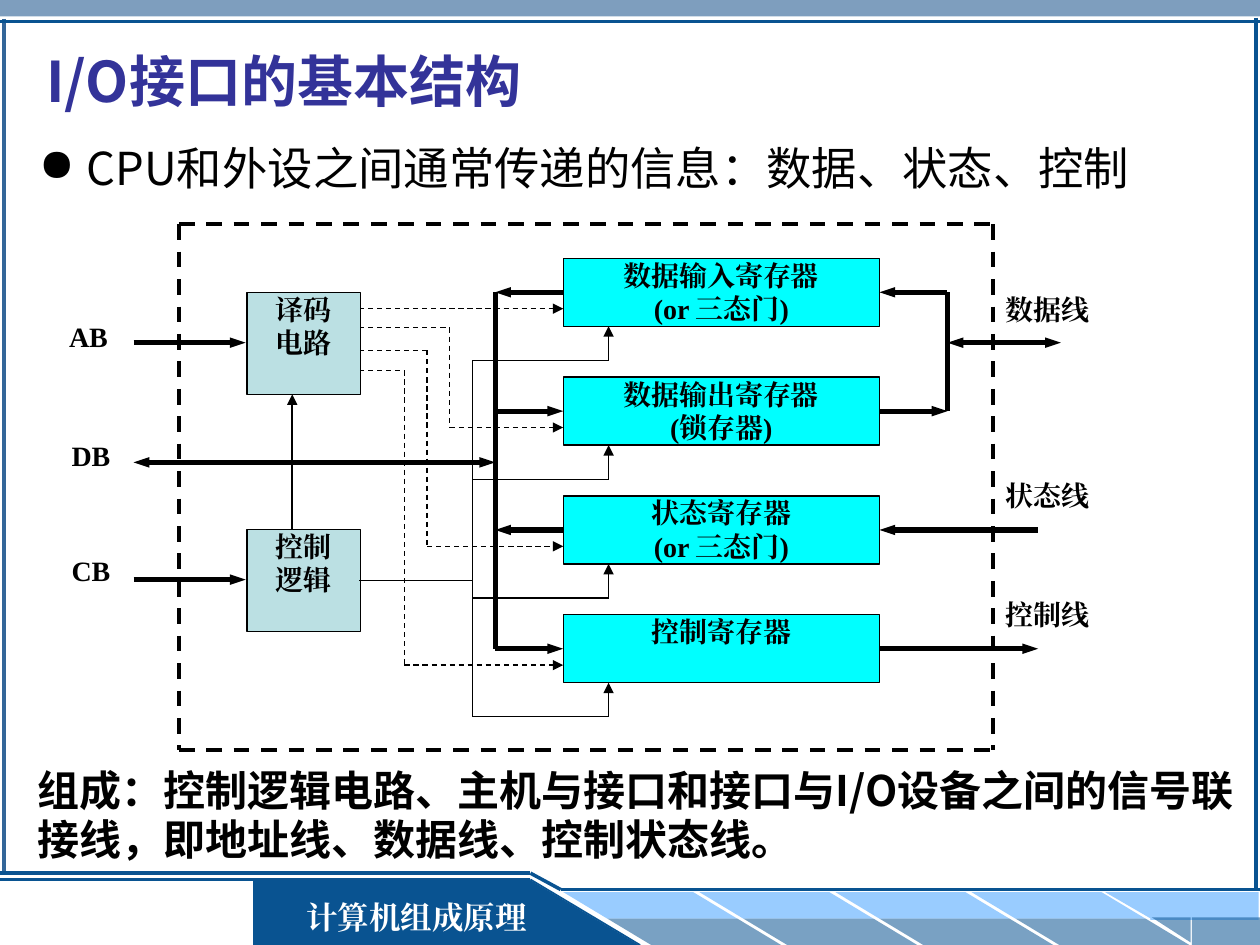
"""Build a slide on the basic structure of an I/O interface."""
import pptx
import pptx.dml.color
import pptx.enum.dml
import pptx.enum.shapes
import pptx.enum.text
import pptx.oxml.ns
import pptx.util
from lxml import etree
from pptx.util import Inches

rgb = pptx.dml.color.RGBColor.from_string
qn = pptx.oxml.ns.qn
SHAPE = pptx.enum.shapes.MSO_SHAPE
ALIGN = pptx.enum.text.PP_ALIGN
ANCHOR = pptx.enum.text.MSO_ANCHOR
SERIF, SANS = "Times New Roman", "Noto Sans CJK SC"
NAVY, SKY, BLACK = "095391", "99CCFF", "000000"

prs = pptx.Presentation()
prs.slide_width, prs.slide_height = Inches(10), Inches(7.5)
slide = prs.slides.add_slide(prs.slide_layouts[6])


def add_box(kind, at, fill=None, alpha=100, border=None, text="", size=16,
            font=SERIF, color=BLACK, bold=True, align=ALIGN.LEFT, inset=0):
    at = [Inches(v) for v in at]
    s = slide.shapes.add_shape(kind, *at) if kind else slide.shapes.add_textbox(*at)
    if kind:
        s.shadow.inherit = False
        s.fill.solid()
        s.fill.fore_color.rgb = rgb(fill)
        if alpha < 100:
            clr = s._element.spPr.find(".//" + qn("a:srgbClr"))
            etree.SubElement(clr, qn("a:alpha")).set("val", str(alpha * 1000))
        if border:
            s.line.color.rgb = rgb(border)
            s.line.width = pptx.util.Pt(0.75)
        else:
            s.line.fill.background()
    if text:
        tf = s.text_frame
        tf.word_wrap = True
        tf.vertical_anchor = ANCHOR.TOP
        tf.margin_left = tf.margin_right = Inches(0.1)
        tf.margin_top = tf.margin_bottom = Inches(inset)
        tf.text = text
        for p in tf.paragraphs:
            p.alignment = align
            for r in p.runs:
                r.font.size = pptx.util.Pt(size)
                r.font.name, r.font.bold = font, bold
                r.font.color.rgb = rgb(color)
                etree.SubElement(r.font._element, qn("a:ea")).set("typeface", font)
    return s


def add_path(points, width, head=False, tail=False, dash=False, color=BLACK):
    last = len(points) - 2
    for i, (start, end) in enumerate(zip(points, points[1:])):
        s = slide.shapes.add_connector(pptx.enum.shapes.MSO_CONNECTOR.STRAIGHT,
                                       *[Inches(v) for v in start + end])
        s.line.color.rgb = rgb(color)
        s.line.width = pptx.util.Pt(width)
        if dash:
            s.line.dash_style = pptx.enum.dml.MSO_LINE.DASH
        ln = s.line._get_or_add_ln()
        for tag, shown in (("a:headEnd", head and i == 0), ("a:tailEnd", tail and i == last)):
            if shown:
                arrow = etree.SubElement(ln, qn(tag))
                arrow.set("type", "triangle")
                arrow.set("w", "sm" if width == 3 else "med")
        etree.SubElement(s._element.spPr, qn("a:effectLst"))


add_box(SHAPE.RECTANGLE, (0, 0, 10, 0.13), "336699", 63)
add_path([(0.03, 0.15), (0.03, 6.93)], 2, color="336699")
add_box(SHAPE.RECTANGLE, (2.01, 6.98, 2.2, 0.52), NAVY)
add_path([(5.08, 7.5), (4.21, 6.98)], 1, color=NAVY)
add_path([(4.21, 6.98), (0, 6.98)], 1.5, color=NAVY)
for i in range(4):
    for x, y, fill, alpha in ((4.47, 7.08, SKY, 100), (4.82, 7.29, NAVY, 54)):
        s = add_box(SHAPE.PARALLELOGRAM, (x + 1.08 * i, y, 1.38, 0.21), fill, alpha)
        s.adjustments[0] = 1.66
        s._element.spPr.xfrm.set("flipH", "1")
for bar, corner, fill, alpha in (
        ((9.13, 7.08, 0.86, 0.22), (8.77, 7.08, 0.38, 0.22), SKY, 100),
        ((9.46, 7.28, 0.54, 0.22), (9.14, 7.28, 0.31, 0.2), NAVY, 54)):
    add_box(SHAPE.RECTANGLE, bar, fill, alpha)
    add_box(SHAPE.RIGHT_TRIANGLE, corner, fill, alpha).rotation = 180
add_box(SHAPE.RECTANGLE, (2.28, 7.08, 2.05, 0.4), NAVY, text="计算机组成原理",
        size=18, color="FFFFFF", align=ALIGN.CENTER, inset=0.05)
add_box(SHAPE.RIGHT_TRIANGLE, (4.2, 6.98, 0.87, 0.52), NAVY)
add_path([(0, 6.93), (4.21, 6.93), (4.45, 7.06), (10, 7.06)], 2, color=NAVY)
add_path([(0, 0.17), (10, 0.17)], 2, color=NAVY)
add_path([(9.97, 0.14), (9.97, 7.07)], 2, color=NAVY)

title = add_box(None, (0.27, 0.28, 9.47, 0.71), text="I/O接口的基本结构", size=32,
                font=SANS, color="333399", inset=0.05)
title.text_frame.vertical_anchor = ANCHOR.MIDDLE

body = add_box(None, (0.21, 1.15, 9.53, 0.63), text="CPU和外设之间通常传递的信息：数据、状态、控制",
               size=25.9, font=SANS, bold=False, inset=0.05)
p = body.text_frame.paragraphs[0]
p.line_spacing = 0.8
pPr = p._p.get_or_add_pPr()
pPr.set("marL", str(Inches(0.38)))
pPr.set("indent", str(-Inches(0.38)))
etree.SubElement(pPr, qn("a:buChar")).set("char", "●")

for x, y, w, label in ((7.88, 2.32, 1.08, "数据线"), (7.88, 3.8, 1.08, "状态线"),
                       (7.88, 4.74, 1.08, "控制线"), (0.45, 2.54, 0.71, "AB"),
                       (0.47, 3.48, 0.71, "DB"), (0.47, 4.39, 0.71, "CB")):
    add_box(None, (x, y, w, 0.4), text=label)

registers = ("数据输入寄存器\n(or 三态门)", "数据输出寄存器\n(锁存器)",
             "状态寄存器\n(or 三态门)", "控制寄存器")
bus_x, control_x = 3.93, 3.75
decoder_taps = ((2.45, 4.47), (2.6, 3.57), (2.78, 3.39), (2.94, 3.21))
for i, (label, (tap_y, turn_x)) in enumerate(zip(registers, decoder_taps)):
    top = 2.05 + 0.943 * i
    middle = top + 0.27
    to_bus = i in (0, 2)
    add_box(SHAPE.RECTANGLE, (4.47, top, 2.51, 0.54), "00FFFF", border=BLACK,
            text=label, align=ALIGN.CENTER)
    add_path([(bus_x, middle), (4.47, middle)], 3, head=to_bus, tail=not to_bus)
    add_path([(6.98, middle), (7.52 if i < 2 else 8.24, middle)], 3, head=to_bus, tail=not to_bus)
    enable = [(2.85, tap_y), (4.47, tap_y)]
    if i:
        enable = [(2.85, tap_y), (turn_x, tap_y), (turn_x, top + 0.4), (4.47, top + 0.4)]
    add_path(enable, 0.75, tail=True, dash=True)
    add_path([(control_x, top + 0.81), (4.83, top + 0.81), (4.83, top + 0.54)], 0.75, tail=True)

for y, label in ((2.32, "译码\n电路"), (4.2, "控制\n逻辑")):
    add_box(SHAPE.RECTANGLE, (1.96, y, 0.9, 0.81), "BBE0E3", border=BLACK,
            text=label, align=ALIGN.CENTER)
    add_path([(1.06, y + 0.4), (1.95, y + 0.4)], 3, tail=True)

add_path([(bus_x, 2.32), (bus_x, 5.15)], 3)
add_path([(7.52, 2.32), (7.52, 3.26)], 3)
add_path([(7.52, 2.72), (8.42, 2.72)], 3, head=True, tail=True)
add_path([(1.06, 3.67), (bus_x, 3.67)], 3, head=True, tail=True)
add_path([(2.32, 4.2), (2.32, 3.13)], 1, tail=True)
add_path([(control_x, 2.86), (control_x, 5.69)], 0.75)
add_path([(2.85, 4.61), (control_x, 4.61)], 0.75)

for x in (1.42, 7.88):
    add_path([(x, 1.78), (x, 5.95)], 2.25, dash=True)
for y in (1.78, 5.95):
    add_path([(1.42, y), (7.88, y)], 2.25, dash=True)

summary = add_box(None, (0.2, 6.03, 9.8, 0.9), size=24, font=SANS, inset=0.05,
                  text="组成：控制逻辑电路、主机与接口和接口与I/O设备之间的信号联接线，即地址线、数据线、控制状态线。")
summary.text_frame.paragraphs[0].line_spacing = pptx.util.Pt(28)

prs.save("out.pptx")
